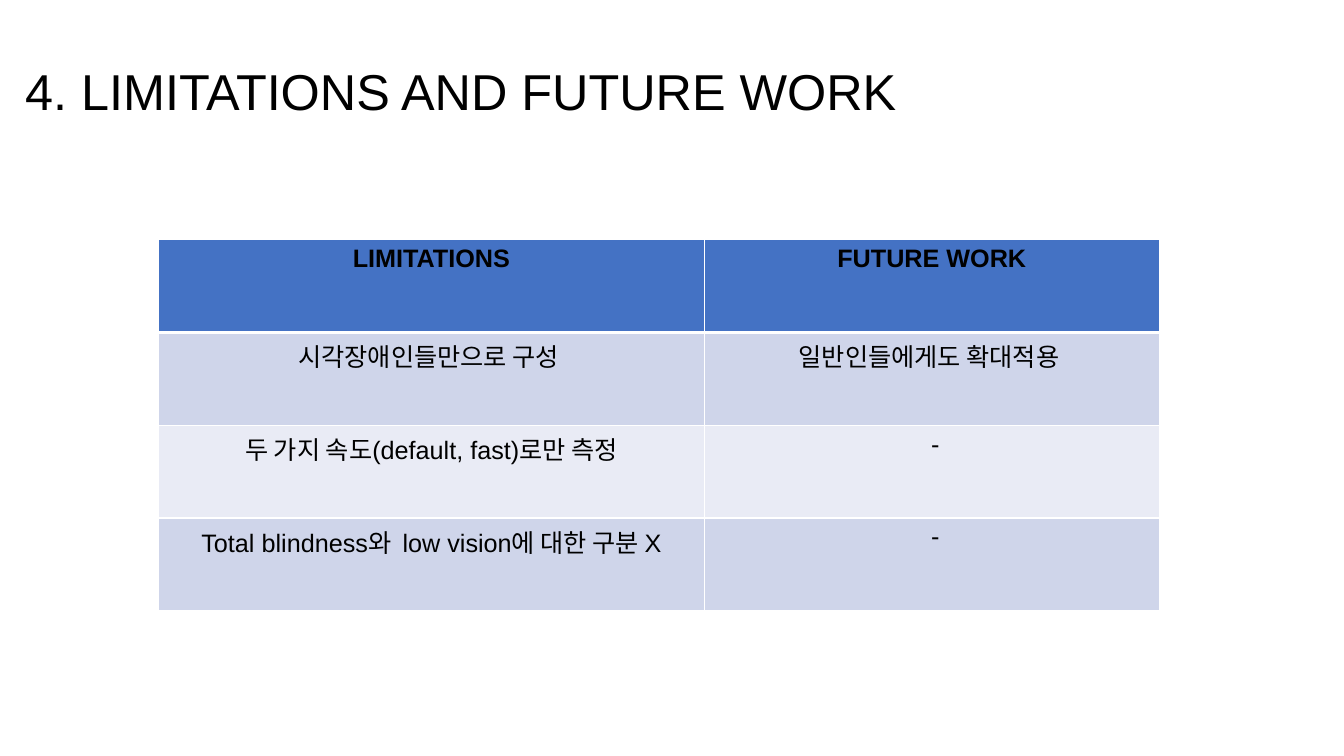
from dataclasses import dataclass

from lxml import etree
from pptx import Presentation
from pptx.dml.color import RGBColor
from pptx.enum.text import MSO_ANCHOR, MSO_AUTO_SIZE, PP_ALIGN
from pptx.oxml.ns import qn
from pptx.util import Pt

LEFT, CENTER = PP_ALIGN.LEFT, PP_ALIGN.CENTER
TOP = MSO_ANCHOR.TOP
NO_AUTOFIT = MSO_AUTO_SIZE.NONE

FONT = "Arial"
BLACK, WHITE = "000000", "FFFFFF"
HEADER_FILL = "4472C4"
BAND_FILLS = ("CFD5EA", "E9EBF5")
COLUMN_WIDTHS = (390.24, 324.72)
ROW_HEIGHT = 66.24
THIN, THICK = 1, 3


@dataclass(frozen=True)
class TableRow:
    limitation: str
    future_work: str


ROWS = (
    TableRow("LIMITATIONS", "FUTURE WORK"),
    TableRow("시각장애인들만으로 구성 ", "일반인들에게도 확대적용 "),
    TableRow("두 가지 속도(default, fast)로만 측정", " -"),
    TableRow("Total blindness와  low vision에 대한 구분 X", " -"),
)


def color(value: str) -> RGBColor:
    return RGBColor.from_string(value)


def write_text(text_frame, text: str, size: float, bold: bool, alignment) -> None:
    paragraph = text_frame.paragraphs[0]
    paragraph.text = text
    paragraph.alignment = alignment
    font = paragraph.runs[0].font
    for name, value in {"name": FONT, "size": Pt(size), "bold": bold}.items():
        setattr(font, name, value)
    font.color.rgb = color(BLACK)


def add_borders(cell, widths: dict[str, float]) -> None:
    properties = cell._tc.get_or_add_tcPr()
    for side, width in widths.items():
        line = etree.SubElement(properties, qn(f"a:ln{side}"), w=str(int(Pt(width))))
        fill = etree.SubElement(line, qn("a:solidFill"))
        etree.SubElement(fill, qn("a:srgbClr"), val=WHITE)


def add_title(slide) -> None:
    title = slide.shapes.title
    position = {"left": 10.8, "top": 36, "width": 828, "height": 99.36}
    for name, value in position.items():
        setattr(title, name, Pt(value))
    text_frame = title.text_frame
    frame_format = {
        "word_wrap": True,
        "auto_size": NO_AUTOFIT,
        "vertical_anchor": TOP,
        "margin_top": Pt(12),
    }
    for name, value in frame_format.items():
        setattr(text_frame, name, value)
    write_text(text_frame, "4. LIMITATIONS AND FUTURE WORK", 36, False, LEFT)
    text_frame.paragraphs[0].line_spacing = 0.9


def add_comparison_table(slide) -> None:
    table = slide.shapes.add_table(
        len(ROWS), len(COLUMN_WIDTHS), Pt(113.04), Pt(171.36),
        Pt(sum(COLUMN_WIDTHS)), Pt(ROW_HEIGHT * len(ROWS)),
    ).table
    for column, width in zip(table.columns, COLUMN_WIDTHS):
        column.width = Pt(width)
    for row_index, row in enumerate(ROWS):
        table.rows[row_index].height = Pt(ROW_HEIGHT)
        is_header = row_index == 0
        fill = HEADER_FILL if is_header else BAND_FILLS[(row_index - 1) % 2]
        borders = {
            "L": THIN,
            "R": THIN,
            "T": THICK if row_index == 1 else THIN,
            "B": THICK if is_header else THIN,
        }
        for column_index, text in enumerate((row.limitation, row.future_work)):
            cell = table.cell(row_index, column_index)
            add_borders(cell, borders)
            cell.fill.solid()
            cell.fill.fore_color.rgb = color(fill)
            write_text(cell.text_frame, text, 18, is_header, CENTER)


def main() -> None:
    presentation = Presentation()
    presentation.slide_width = Pt(960)
    presentation.slide_height = Pt(540)
    title_only = presentation.slide_layouts.get_by_name("Title Only")
    slide = presentation.slides.add_slide(title_only)
    add_title(slide)
    add_comparison_table(slide)
    presentation.save("out.pptx")


if __name__ == "__main__":
    main()
